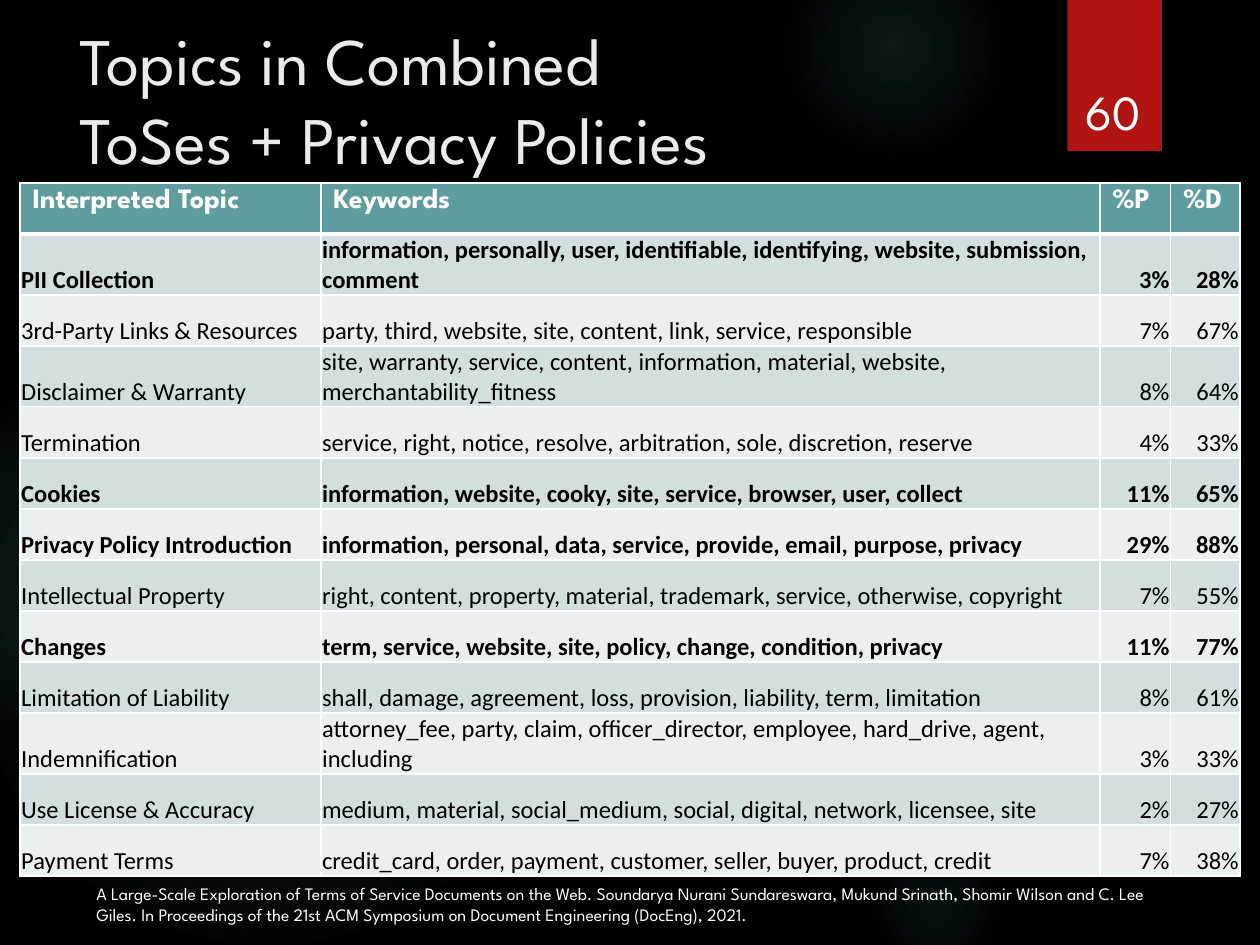
import dataclasses

import lxml.etree
import pptx
import pptx.dml.color
import pptx.enum.shapes
import pptx.enum.text
import pptx.oxml
import pptx.oxml.ns
import pptx.util

Pt = pptx.util.Pt
ALIGN = pptx.enum.text.PP_ALIGN
ANCHOR = pptx.enum.text.MSO_ANCHOR
SHAPE = pptx.enum.shapes.MSO_SHAPE
DRAWING = 'xmlns:a="http://schemas.openxmlformats.org/drawingml/2006/main"'


@dataclasses.dataclass(frozen=True)
class Theme:
    display: str = "League Spartan"
    body: str = "Calibri"
    background: str = "000000"
    glow: str = "50B9C1"
    ribbon: str = "B01513"
    title: str = "EBEBEB"
    light: str = "FFFFFF"
    dark: str = "000000"
    header: str = "5F9C9D"
    bands: tuple = ("D2DEDF", "EAEFEF")
    title_size: int = 38
    number_size: int = 28
    header_size: int = 16
    cell_size: int = 14
    source_size: int = 10


THEME = Theme()

GLOWS = [
    (496, 132, 222, ((0, 7), (36, 6), (69, 0))),
    (448, -36, 126, ((0, 14), (36, 7), (73, 0))),
    (496, 480, 78, ((0, 9), (36, 5), (66, 0))),
    (-12, 210, 330, ((0, 11), (36, 10), (75, 0))),
    (-66, 228, 186, ((0, 8), (36, 8), (72, 0))),
]
COLUMN_WIDTHS = (172, 445, 40.4, 39.6)
ROW_HEIGHT = 29.2
HEADINGS = ("Interpreted Topic", "Keywords", "%P", "%D")
TOPICS = [
    ("PII Collection", "information, personally, user, identifiable, identifying, website, submission, comment", "3%", "28%"),
    ("3rd-Party Links & Resources", "party, third, website, site, content, link, service, responsible", "7%", "67%"),
    ("Disclaimer & Warranty", "site, warranty, service, content, information, material, website, merchantability_fitness", "8%", "64%"),
    ("Termination", "service, right, notice, resolve, arbitration, sole, discretion, reserve", "4%", "33%"),
    ("Cookies", "information, website, cooky, site, service, browser, user, collect", "11%", "65%"),
    ("Privacy Policy Introduction", "information, personal, data, service, provide, email, purpose, privacy", "29%", "88%"),
    ("Intellectual Property", "right, content, property, material, trademark, service, otherwise, copyright", "7%", "55%"),
    ("Changes", "term, service, website, site, policy, change, condition, privacy", "11%", "77%"),
    ("Limitation of Liability", "shall, damage, agreement, loss, provision, liability, term, limitation", "8%", "61%"),
    ("Indemnification", "attorney_fee, party, claim, officer_director, employee, hard_drive, agent, including", "3%", "33%"),
    ("Use License & Accuracy", "medium, material, social_medium, social, digital, network, licensee, site", "2%", "27%"),
    ("Payment Terms", "credit_card, order, payment, customer, seller, buyer, product, credit", "7%", "38%"),
]
EMPHASIZED = {"PII Collection", "Cookies", "Privacy Policy Introduction", "Changes"}
SOURCE = (
    "A Large-Scale Exploration of Terms of Service Documents on the Web. "
    "Soundarya Nurani Sundareswara, Mukund Srinath, Shomir Wilson and C. Lee Giles. "
    "In Proceedings of the 21st ACM Symposium on Document Engineering (DocEng), 2021."
)


def rgb(value):
    return pptx.dml.color.RGBColor.from_string(value)


def apply(target, values):
    for name, value in values.items():
        setattr(target, name, value)


def paint(fill, color):
    fill.solid()
    fill.fore_color.rgb = rgb(color)


def write(frame, text, font, size, color, bold=False, align=ALIGN.LEFT):
    para = frame.paragraphs[0]
    para.text = text
    para.alignment = align
    for span in para.runs:
        apply(span.font, {"name": font, "size": Pt(size), "bold": bold})
        span.font.color.rgb = rgb(color)


def add_plain_shape(page, kind, left, top, width, height):
    shape = page.shapes.add_shape(kind, Pt(left), Pt(top), Pt(width), Pt(height))
    shape.shadow.inherit = False
    shape.line.fill.background()
    return shape


def add_glow(page, left, top, size, stops):
    shape = add_plain_shape(page, SHAPE.OVAL, left, top, size, size)
    marks = "".join(
        f'<a:gs pos="{place * 1000}"><a:srgbClr val="{THEME.glow}">'
        f'<a:alpha val="{alpha * 1000}"/></a:srgbClr></a:gs>'
        for place, alpha in stops
    )
    gradient = pptx.oxml.parse_xml(
        f'<a:gradFill {DRAWING} rotWithShape="1"><a:gsLst>{marks}</a:gsLst>'
        '<a:path path="circle"><a:fillToRect l="50000" t="50000" r="50000" b="50000"/>'
        "</a:path></a:gradFill>"
    )
    shape.element.spPr.find(pptx.oxml.ns.qn("a:prstGeom")).addnext(gradient)


def add_ribbon(page):
    shape = add_plain_shape(page, SHAPE.RECTANGLE, 610, 0, 54, 86.4)
    paint(shape.fill, THEME.ribbon)
    shadow = pptx.oxml.parse_xml(
        f'<a:outerShdw {DRAWING} blurRad="{Pt(3)}" dist="{Pt(2)}" dir="5400000" rotWithShape="0">'
        f'<a:srgbClr val="{THEME.dark}"><a:alpha val="45000"/></a:srgbClr></a:outerShdw>'
    )
    shape.element.spPr.find(pptx.oxml.ns.qn("a:effectLst")).append(shadow)


def place_title(page, text):
    title = page.shapes.title
    title.element.getparent().append(title.element)
    apply(title, {"left": Pt(38), "top": Pt(7), "width": Pt(556), "height": Pt(110)})
    frame = title.text_frame
    apply(frame, {
        "word_wrap": True,
        "auto_size": pptx.enum.text.MSO_AUTO_SIZE.NONE,
        "vertical_anchor": ANCHOR.TOP,
    })
    write(frame, text, THEME.display, THEME.title_size, THEME.title)


def add_label(page, text, left, top, width, height, size, **format_values):
    box = page.shapes.add_textbox(Pt(left), Pt(top), Pt(width), Pt(height))
    box.text_frame.word_wrap = True
    box.text_frame.vertical_anchor = format_values.pop("anchor", ANCHOR.TOP)
    write(box.text_frame, text, THEME.display, size, THEME.light, **format_values)


def set_borders(cell, bottom):
    properties = cell._tc.get_or_add_tcPr()
    for index, (side, width) in enumerate((("L", 1), ("R", 1), ("T", 1), ("B", bottom))):
        properties.insert(index, pptx.oxml.parse_xml(
            f'<a:ln{side} {DRAWING} w="{Pt(width)}"><a:solidFill>'
            f'<a:srgbClr val="{THEME.light}"/></a:solidFill></a:ln{side}>'
        ))


def format_header(cell, text):
    write(cell.text_frame, text, THEME.display, THEME.header_size, THEME.light, bold=True)
    paint(cell.fill, THEME.header)
    set_borders(cell, 3)


def format_topic(cell, text, band, bold, align):
    apply(cell, {
        "margin_left": Pt(0.6),
        "margin_right": Pt(0.6),
        "margin_top": Pt(0.6),
        "margin_bottom": Pt(0),
        "vertical_anchor": ANCHOR.BOTTOM,
    })
    write(cell.text_frame, text, THEME.body, THEME.cell_size, THEME.dark, bold, align)
    paint(cell.fill, band)
    set_borders(cell, 1)


def add_topic_table(page):
    count = len(TOPICS) + 1
    table = page.shapes.add_table(
        count, len(HEADINGS), Pt(11.5), Pt(104.6), Pt(sum(COLUMN_WIDTHS)), Pt(ROW_HEIGHT * count)
    ).table
    apply(table, {"first_row": False, "horz_banding": False})
    for column, width in zip(table.columns, COLUMN_WIDTHS):
        column.width = Pt(width)
    for row in table.rows:
        row.height = Pt(ROW_HEIGHT)
    for column, heading in enumerate(HEADINGS):
        format_header(table.cell(0, column), heading)
    for index, topic in enumerate(TOPICS):
        for column, text in enumerate(topic):
            align = ALIGN.LEFT if column < 2 else ALIGN.RIGHT
            format_topic(table.cell(index + 1, column), text, THEME.bands[index % 2], topic[0] in EMPHASIZED, align)


def main():
    deck = pptx.Presentation()
    apply(deck, {"slide_width": Pt(720), "slide_height": Pt(540)})
    page = deck.slides.add_slide(deck.slide_layouts[5])
    paint(page.background.fill, THEME.background)
    for glow in GLOWS:
        add_glow(page, *glow)
    add_ribbon(page)
    place_title(page, "Topics in Combined \vToSes + Privacy Policies")
    add_topic_table(page)
    add_label(page, "60", 611.5, 23, 49.5, 60.5, THEME.number_size, align=ALIGN.CENTER, anchor=ANCHOR.BOTTOM)
    add_label(page, SOURCE, 48, 501, 623.5, 31.5, THEME.source_size)
    deck.save("out.pptx")


if __name__ == "__main__":
    main()
